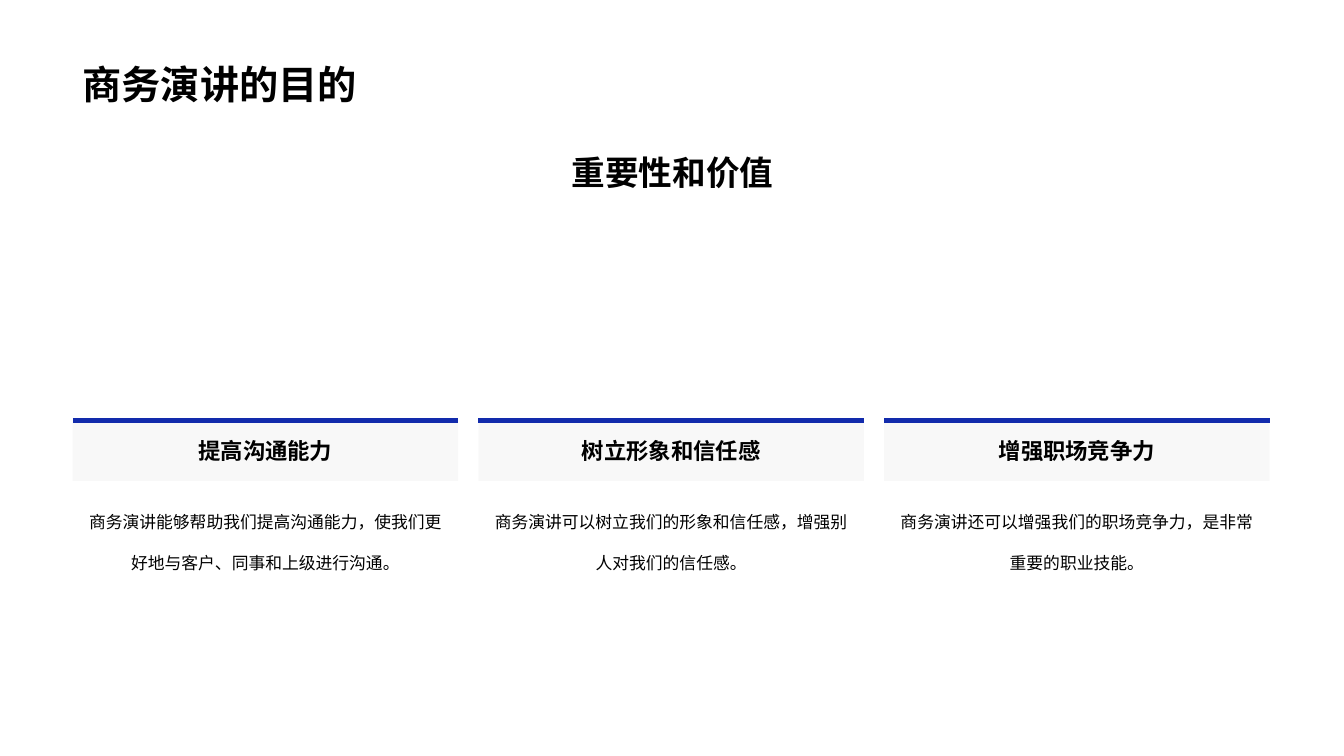
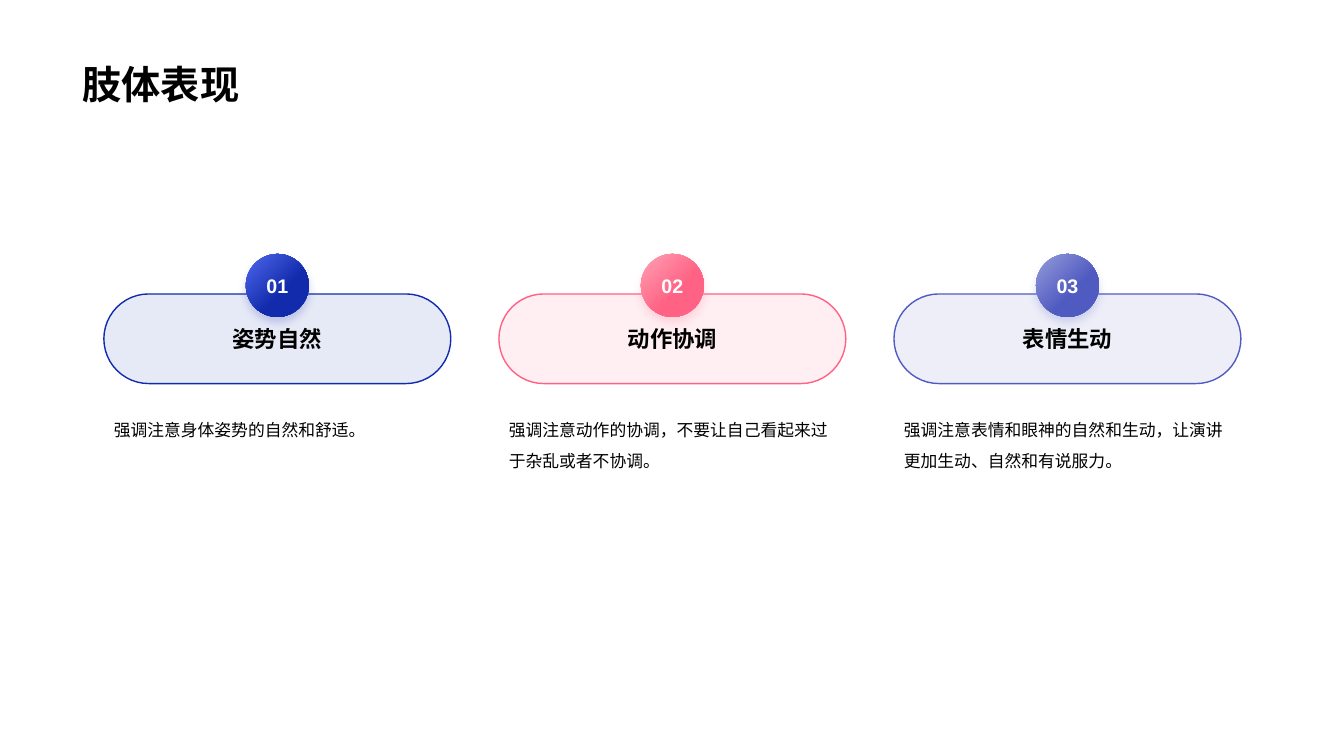
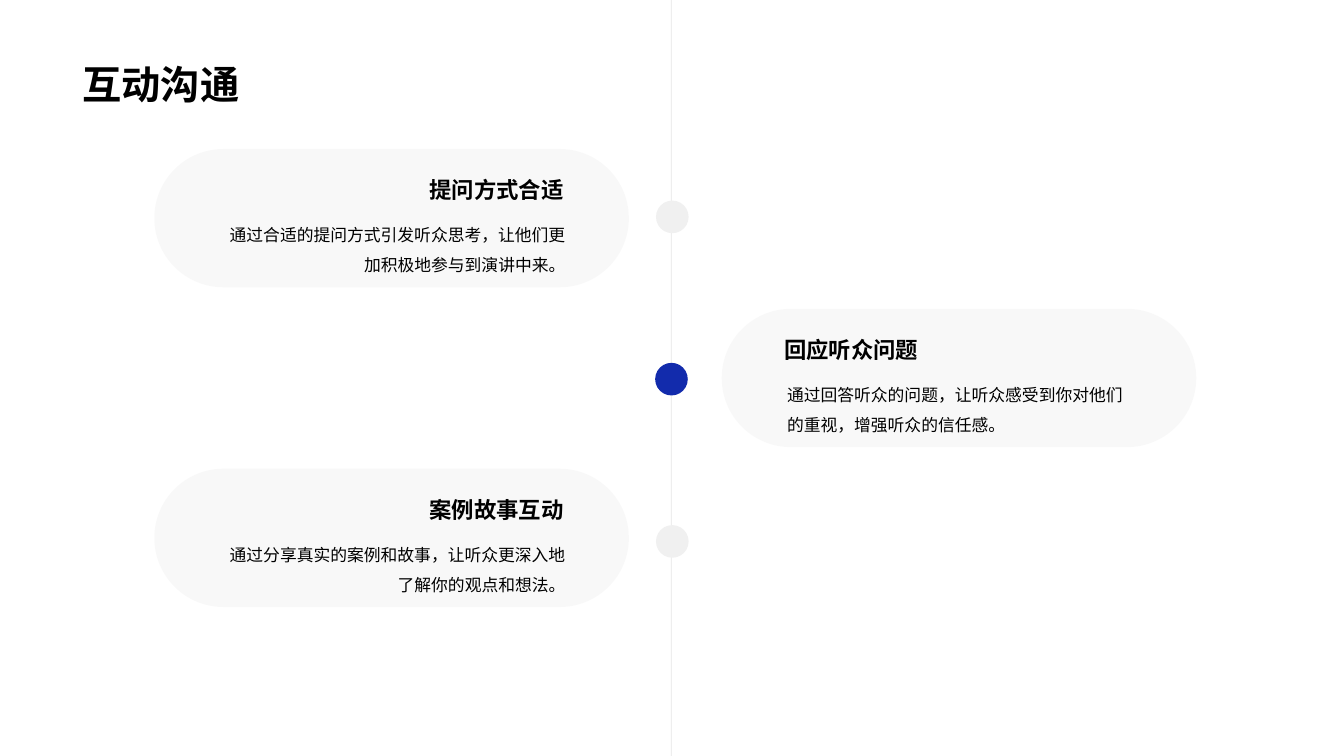
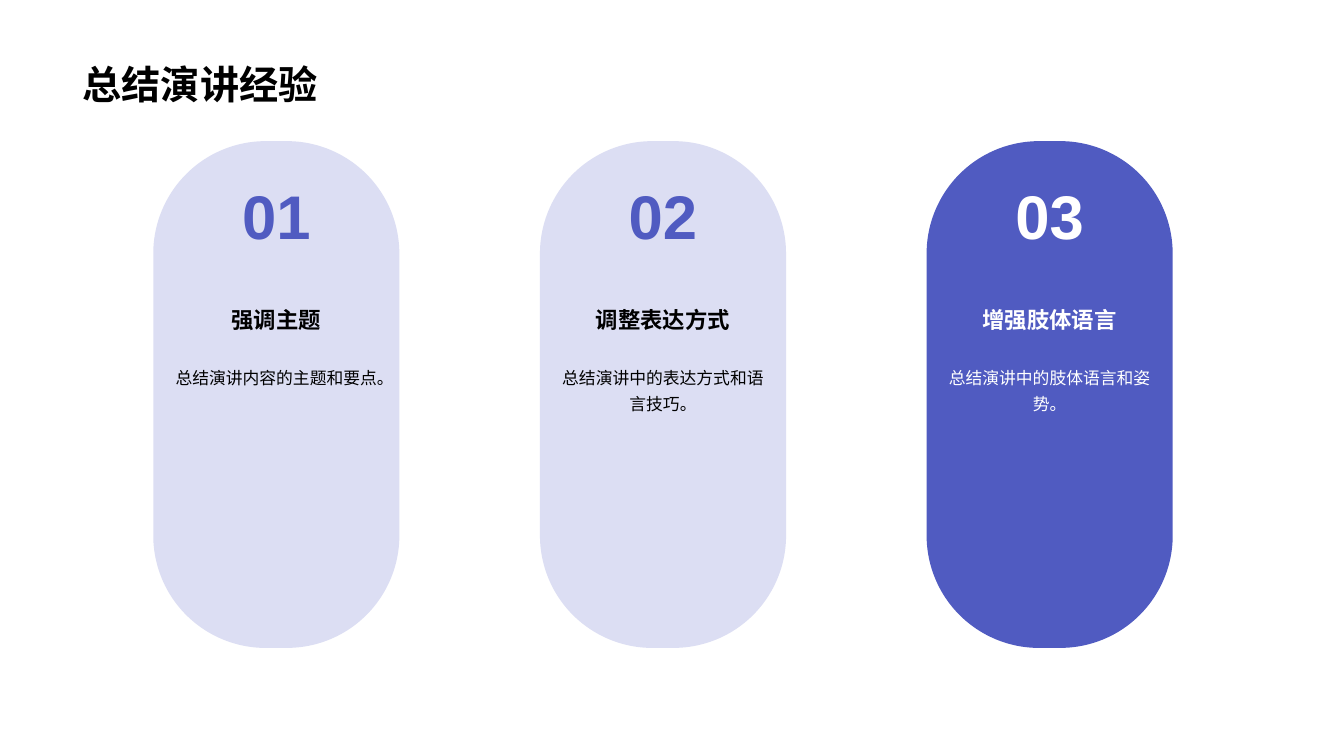
import pptx
import pptx.util
import pptx.dml.color
import pptx.enum.dml
import pptx.enum.shapes
import pptx.enum.text
import pptx.oxml
import pptx.oxml.ns

Pt = pptx.util.Pt
qn = pptx.oxml.ns.qn
SHAPE = pptx.enum.shapes.MSO_SHAPE
ALIGN = pptx.enum.text.PP_ALIGN
ANCHOR = pptx.enum.text.MSO_ANCHOR
FIT = pptx.enum.text.MSO_AUTO_SIZE

FONT = "Arial"
COLORS = {
    "black": "000000", "white": "FFFFFF", "gray": "808080", "dot": "F0F0F0",
    "blue": "122BAC", "light blue": "516AED",
    "pink": "FF6284", "light pink": "FFA1B5",
    "violet": "505BC1", "light violet": "969DDA", "pale violet": "DCDEF3",
}

PURPOSE = {
    "title": "商务演讲的目的",
    "subtitle": "重要性和价值",
    "columns": [
        ("提高沟通能力", "商务演讲能够帮助我们提高沟通能力，使我们更好地与客户、同事和上级进行沟通。"),
        ("树立形象和信任感", "商务演讲可以树立我们的形象和信任感，增强别人对我们的信任感。"),
        ("增强职场竞争力", "商务演讲还可以增强我们的职场竞争力，是非常重要的职业技能。"),
    ],
}
BODY_LANGUAGE = {
    "title": "肢体表现",
    "columns": [
        ("姿势自然", "强调注意身体姿势的自然和舒适。", "blue"),
        ("动作协调", "强调注意动作的协调，不要让自己看起来过于杂乱或者不协调。", "pink"),
        ("表情生动", "强调注意表情和眼神的自然和生动，让演讲更加生动、自然和有说服力。", "violet"),
    ],
}
INTERACTION = {
    "title": "互动沟通",
    "steps": [
        ("提问方式合适", "通过合适的提问方式引发听众思考，让他们更加积极地参与到演讲中来。", "left"),
        ("回应听众问题", "通过回答听众的问题，让听众感受到你对他们的重视，增强听众的信任感。", "right"),
        ("案例故事互动", "通过分享真实的案例和故事，让听众更深入地了解你的观点和想法。", "left"),
    ],
    "sides": {
        "left": {"pill": 110.2, "heading": 298.1, "body": 151.9, "align": ALIGN.RIGHT,
                 "dot": 468.6, "color": "dot"},
        "right": {"pill": 515.5, "heading": 553, "body": 555.1, "align": ALIGN.LEFT,
                  "dot": 468, "color": "blue"},
    },
}
SUMMARY = {
    "title": "总结演讲经验",
    "columns": [
        ("强调主题", "总结演讲内容的主题和要点。", "pale violet", "violet", "black"),
        ("调整表达方式", "总结演讲中的表达方式和语言技巧。", "pale violet", "violet", "black"),
        ("增强肢体语言", "总结演讲中的肢体语言和姿势。", "violet", "white", "white"),
    ],
}


def rgb(name):
    return pptx.dml.color.RGBColor.from_string(COLORS[name])


def fade(shape, percent):
    color = shape._element.spPr.find(".//" + qn("a:srgbClr"))
    pptx.oxml.ns.qn
    alpha = color.makeelement(qn("a:alpha"), {"val": str(percent * 1000)})
    color.append(alpha)


def write(box, text, size, color="black", bold=False, align=ALIGN.LEFT, spacing=None,
          anchor=ANCHOR.TOP, wrap=True, inset=None):
    frame = box.text_frame
    frame.word_wrap = wrap
    frame.vertical_anchor = anchor
    if inset is not None:
        frame.margin_left = frame.margin_right = Pt(inset)
        frame.margin_top = frame.margin_bottom = Pt(inset)
    para = frame.paragraphs[0]
    para.alignment = align
    if spacing:
        para.line_spacing = spacing
    span = para.add_run()
    span.text = text
    span.font.name = FONT
    span.font.size = Pt(size)
    span.font.bold = bold
    span.font.color.rgb = rgb(color)
    properties = span.font._element
    properties.append(properties.makeelement(qn("a:ea"), {"typeface": FONT}))


def add_text(slide, area, text, size, grow=True, **style):
    box = slide.shapes.add_textbox(*map(Pt, area))
    write(box, text, size, **style)
    box.text_frame.auto_size = FIT.SHAPE_TO_FIT_TEXT if grow else FIT.NONE


def add_shape(slide, kind, area, color=None, opacity=None, outline=None, rounding=None):
    shape = slide.shapes.add_shape(kind, *map(Pt, area))
    shape.shadow.inherit = False
    if rounding is not None:
        shape.adjustments[0] = rounding
    if color:
        shape.fill.solid()
        shape.fill.fore_color.rgb = rgb(color)
    if opacity:
        fade(shape, opacity)
    if outline:
        shape.line.color.rgb = rgb(outline)
        shape.line.width = Pt(1)
    else:
        shape.line.fill.background()
    return shape


def add_line(slide, start, end, color, width):
    line = slide.shapes.add_connector(
        pptx.enum.shapes.MSO_CONNECTOR.STRAIGHT, *map(Pt, start + end))
    line.line.color.rgb = rgb(color)
    line.line.width = Pt(width)
    properties = line._element.spPr
    properties.append(properties.makeelement(qn("a:effectLst"), {}))
    return line


def add_badge(slide, area, number, color):
    badge = add_shape(slide, SHAPE.OVAL, area)
    badge.fill.gradient()
    badge.fill.gradient_angle = 315
    stops = zip(badge.fill.gradient_stops, (0, 0.6), ("light " + color, color))
    for stop, position, name in stops:
        stop.position = position
        stop.color.rgb = rgb(name)
    effects = badge._element.spPr.find(qn("a:effectLst"))
    effects.append(pptx.oxml.parse_xml(
        '<a:outerShdw xmlns:a="http://schemas.openxmlformats.org/drawingml/2006/main"'
        f' blurRad="{Pt(6)}" dist="{Pt(4)}" dir="5400000" algn="t" rotWithShape="0">'
        f'<a:srgbClr val="{COLORS[color]}"><a:alpha val="20000"/></a:srgbClr></a:outerShdw>'))
    write(badge, number, 14, color="white", bold=True, align=ALIGN.CENTER,
          anchor=ANCHOR.MIDDLE, wrap=False)


def add_slide(deck, title):
    slide = deck.slides.add_slide(deck.slide_layouts[6])
    add_text(slide, (52, 0, 855.4, 80.6), title, 28, grow=False, bold=True,
             spacing=0.9, anchor=ANCHOR.BOTTOM)
    return slide


def build_purpose(deck):
    slide = add_slide(deck, PURPOSE["title"])
    add_text(slide, (63.4, 105.1, 833.8, 36), PURPOSE["subtitle"], 24, bold=True,
             align=ALIGN.CENTER)
    top, width = 300.5, 275.3
    for index, (heading, body) in enumerate(PURPOSE["columns"]):
        left = 52 + index * 289.8
        header = add_shape(slide, SHAPE.RECTANGLE, (left, top, width, 43), "gray", 5)
        write(header, heading, 16, bold=True, align=ALIGN.CENTER,
              anchor=ANCHOR.MIDDLE, wrap=False)
        add_line(slide, (left, top), (left + width, top), "blue", 4)
        add_text(slide, (left, 347.8, width, 61), body, 12, align=ALIGN.CENTER, spacing=2.0)


def build_body_language(deck):
    slide = add_slide(deck, BODY_LANGUAGE["title"])
    width, badge = 247.8, 45
    for index, (heading, body, color) in enumerate(BODY_LANGUAGE["columns"]):
        left = 74.2 + index * 282.2
        pill = add_shape(slide, SHAPE.ROUNDED_RECTANGLE, (left, 210, width, 64),
                         color, 10, outline=color, rounding=0.5)
        write(pill, heading, 16, bold=True, align=ALIGN.CENTER,
              anchor=ANCHOR.MIDDLE, wrap=False)
        add_text(slide, (left, 289.4, width, 48), body, 12, spacing=1.5)
        add_badge(slide, (left + (width - badge) / 2, 181.4, badge, badge),
                  f"{index + 1:02}", color)


def build_interaction(deck):
    slide = add_slide(deck, INTERACTION["title"])
    axis = add_line(slide, (479.5, 0), (479.5, 540), "gray", 0.5)
    fade(axis, 20)
    for index, (heading, body, side) in enumerate(INTERACTION["steps"]):
        place = INTERACTION["sides"][side]
        top = 106.4 + index * 114.2
        add_shape(slide, SHAPE.ROUNDED_RECTANGLE, (place["pill"], top, 339, 98.8),
                  "gray", 5, rounding=0.5)
        add_shape(slide, SHAPE.OVAL, (place["dot"], 143.3 + index * 115.9, 23.3, 23.3),
                  place["color"])
        add_text(slide, (place["heading"], top + 16.2, 111.6, 26.6), heading, 16,
                 bold=True, align=place["align"], wrap=False)
        add_text(slide, (place["body"], top + 43.5, 259.2, 48), body, 12,
                 align=place["align"], spacing=1.5)


def build_summary(deck):
    slide = add_slide(deck, SUMMARY["title"])
    width = 175.8
    centered = {"align": ALIGN.CENTER, "inset": 9}
    label = {"bold": True, "anchor": ANCHOR.BOTTOM, "wrap": False, **centered}
    for index, (heading, body, fill, accent, ink) in enumerate(SUMMARY["columns"]):
        left = 109.5 + index * 276.2
        center = left + width / 2
        heading_width = len(heading) * 16 + 18
        add_shape(slide, SHAPE.ROUNDED_RECTANGLE, (left, 100.8, width, 362), fill,
                  rounding=0.457)
        add_text(slide, (center - 33.5, 118, 67, 70.6), f"{index + 1:02}", 44,
                 color=accent, **label)
        add_text(slide, (center - heading_width / 2, 210.2, heading_width, 36.7), heading,
                 16, color=ink, **label)
        add_text(slide, (center - 82.8, 249.1, 165.6, 53.3), body, 12, color=ink,
                 spacing=1.3, **centered)


def main():
    deck = pptx.Presentation()
    deck.slide_width, deck.slide_height = Pt(960), Pt(540)
    for build in (build_purpose, build_body_language, build_interaction, build_summary):
        build(deck)
    deck.save("out.pptx")


if __name__ == "__main__":
    main()
